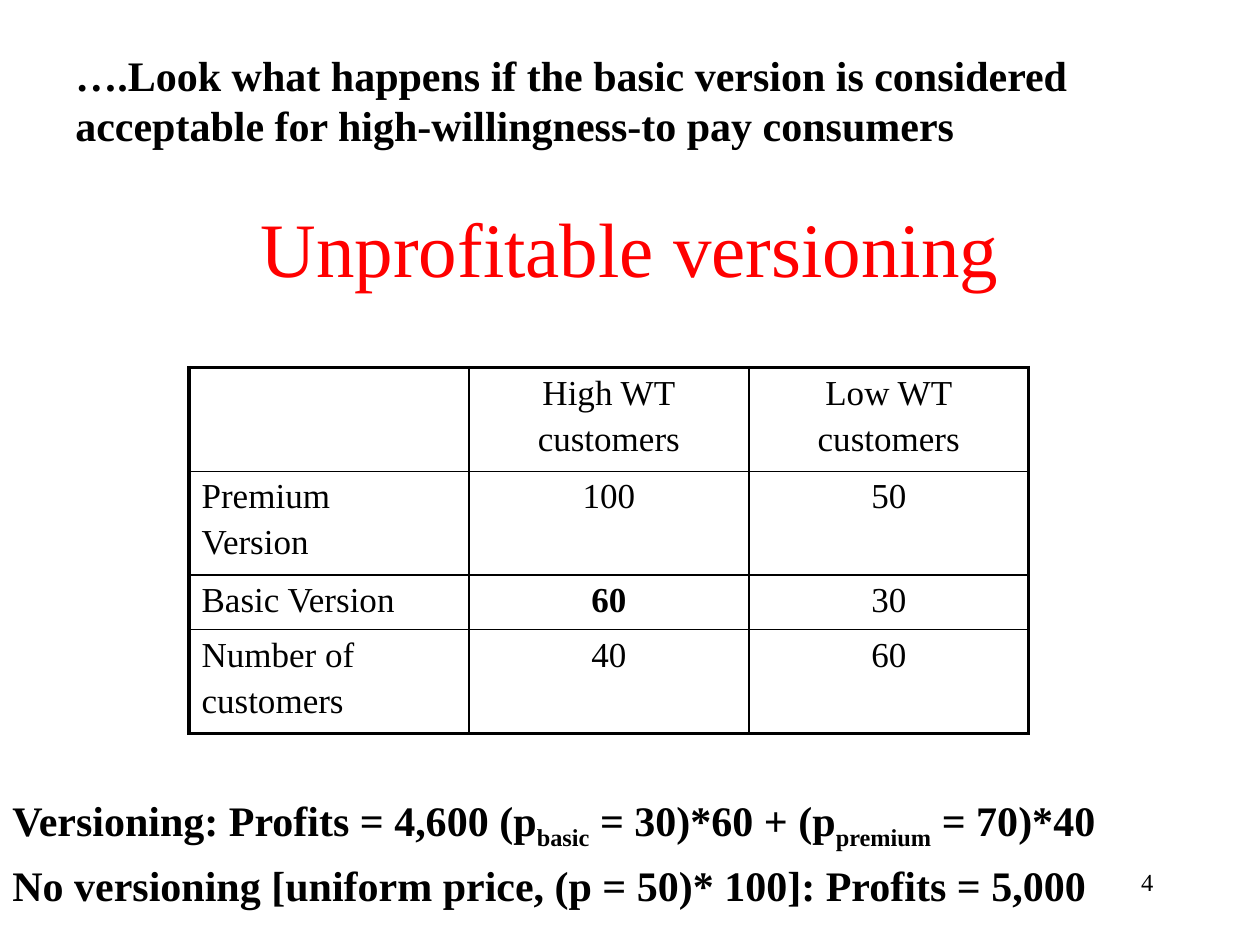
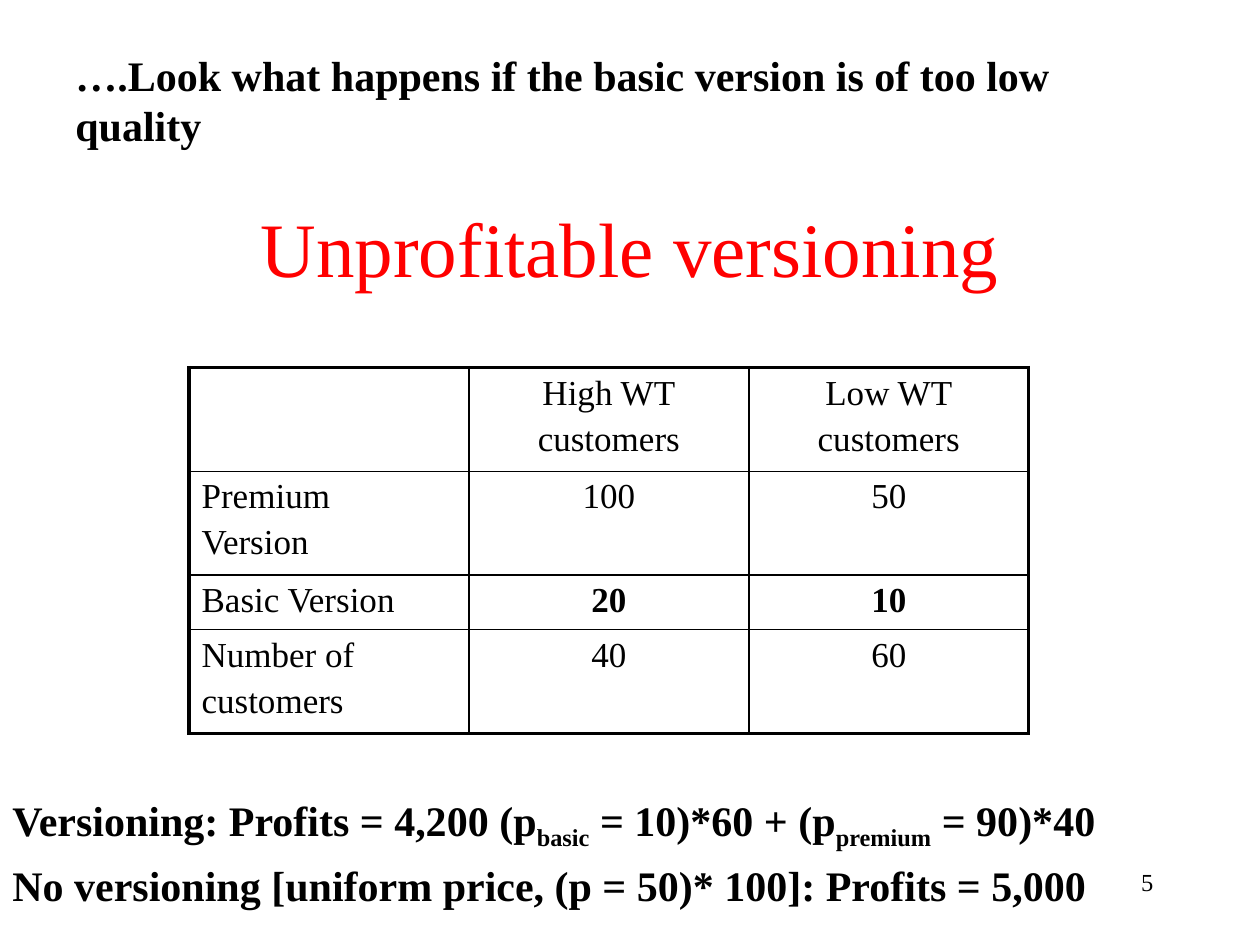
import pptx
import pptx.dml.color
import pptx.enum.text
import pptx.oxml
import pptx.oxml.ns
import pptx.util
from dataclasses import dataclass

Cm, Pt = pptx.util.Cm, pptx.util.Pt
ALIGN = pptx.enum.text.PP_ALIGN
ANCHOR = pptx.enum.text.MSO_ANCHOR


@dataclass(frozen=True)
class Theme:
    font: str = "Times New Roman"
    text: str = "000000"
    title: str = "FF0000"
    background: str = "FFFFFF"
    title_size: float = 44
    body_size: float = 24
    table_size: float = 20
    number_size: float = 14
    line_pitch: float = 28.6
    outer_line: float = 2.25
    inner_line: float = 1


THEME = Theme()

# Left, top, width, height in centimetres
HEADING_BOX = (1.27, 0.88, 22.86, 2.31)
TITLE_BOX = (1.9, 3.39, 21.6, 3.18)
TABLE_BOX = (3.81, 7.41, 16.93, 6.92)
FORMULA_BOX = (0, 16.03, 23.92, 2.5)
NUMBER_BOX = (18.2, 17.36, 5.3, 1.27)
ROW_HEIGHTS = (1.96, 1.96, 1.04, 1.96)

HIGH_CUSTOMERS, LOW_CUSTOMERS = 40, 60

SLIDES = [
    dict(
        number=4,
        heading="….Look what happens if the basic version is considered "
                "acceptable for high-willingness-to pay consumers",
        basic_values=("60", "30"),
        changed=("60",),
        basic_price=30,
        premium_price=70,
    ),
    dict(
        number=5,
        heading="….Look what happens if the basic version is of too low quality",
        basic_values=("20", "10"),
        changed=("20", "10"),
        basic_price=10,
        premium_price=90,
    ),
]


def add_run(p, text, size, color=THEME.text, bold=False, subscript=False):
    r = p.add_run()
    r.text = text
    formats = dict(name=THEME.font, size=Pt(size), bold=bold)
    for name, value in formats.items():
        setattr(r.font, name, value)
    r.font.color.rgb = pptx.dml.color.RGBColor.from_string(color)
    if subscript:
        r._r.get_or_add_rPr().set("baseline", "-25000")


def add_text_frame(slide, box, anchor=ANCHOR.TOP):
    tf = slide.shapes.add_textbox(*map(Cm, box)).text_frame
    tf.word_wrap = True
    tf.vertical_anchor = anchor
    return tf


def add_line(slide, box, text, size, align, color=THEME.text, anchor=ANCHOR.TOP):
    p = add_text_frame(slide, box, anchor).paragraphs[0]
    p.alignment = align
    add_run(p, text, size, color)


def add_heading(slide, box, text):
    p = add_text_frame(slide, box).paragraphs[0]
    p.line_spacing = Pt(THEME.line_pitch)
    add_run(p, text, THEME.body_size, bold=True)


def add_formulas(slide, box, basic_price, premium_price):
    """Show the profit with versioning above the profit at a uniform price."""
    profit = basic_price * LOW_CUSTOMERS + premium_price * HIGH_CUSTOMERS
    tf = add_text_frame(slide, box)
    versioning, uniform = tf.paragraphs[0], tf.add_paragraph()
    uniform.space_before = Pt(4.6)
    pieces = [
        (versioning, f"Versioning: Profits = {profit:,} (p", False),
        (versioning, "basic", True),
        (versioning, f" = {basic_price})*{LOW_CUSTOMERS} + (p", False),
        (versioning, "premium", True),
        (versioning, f" = {premium_price})*{HIGH_CUSTOMERS}", False),
        (uniform, "No versioning [uniform price, (p = 50)* 100]: Profits = 5,000", False),
    ]
    for p, text, subscript in pieces:
        add_run(p, text, THEME.body_size, bold=True, subscript=subscript)
    for p in tf.paragraphs:
        p.line_spacing = Pt(THEME.line_pitch)


def set_borders(cell, outer_sides):
    """Draw all four cell borders, heavier on the table's outer sides."""
    tcPr = cell._tc.get_or_add_tcPr()
    for side in "LRTB":
        width = THEME.outer_line if side in outer_sides else THEME.inner_line
        tcPr.append(pptx.oxml.parse_xml(
            f'<a:ln{side} {pptx.oxml.ns.nsdecls("a")} w="{Pt(width)}">'
            f'<a:solidFill><a:srgbClr val="{THEME.text}"/></a:solidFill>'
            f'</a:ln{side}>'))


def fill_cell(cell, text, align, bold):
    tf = cell.text_frame
    for i, line in enumerate(text.split("\n") if text else []):
        p = tf.add_paragraph() if i else tf.paragraphs[0]
        p.alignment = align
        if i:
            p.space_before = Pt(THEME.table_size * 0.2)
        add_run(p, line, THEME.table_size, bold=bold)


def add_value_table(slide, box, basic_values, changed):
    """List what each customer group pays; changed basic values are bold."""
    rows = [
        ("", "High WT\ncustomers", "Low WT\ncustomers"),
        ("Premium\nVersion", "100", "50"),
        ("Basic Version", *basic_values),
        ("Number of\ncustomers", str(HIGH_CUSTOMERS), str(LOW_CUSTOMERS)),
    ]
    basic_row, last_row, last_col = 2, len(rows) - 1, len(rows[0]) - 1
    table = slide.shapes.add_table(len(rows), len(rows[0]), *map(Cm, box)).table
    table.first_row = table.horz_banding = False
    for column in table.columns:
        column.width = Cm(box[2] / len(rows[0]))
    for row, height in zip(table.rows, ROW_HEIGHTS):
        row.height = Cm(height)
    for i, texts in enumerate(rows):
        for j, text in enumerate(texts):
            cell = table.cell(i, j)
            edges = {"L": j == 0, "R": j == last_col, "T": i == 0, "B": i == last_row}
            set_borders(cell, [side for side, outer in edges.items() if outer])
            cell.fill.background()
            fill_cell(cell, text, ALIGN.CENTER if j else ALIGN.LEFT,
                      bold=i == basic_row and text in changed)


def add_versioning_slide(prs, number, heading, basic_values, changed,
                         basic_price, premium_price):
    slide = prs.slides.add_slide(prs.slide_layouts[6])
    fill = slide.background.fill
    fill.solid()
    fill.fore_color.rgb = pptx.dml.color.RGBColor.from_string(THEME.background)
    add_line(slide, TITLE_BOX, "Unprofitable versioning", THEME.title_size,
             ALIGN.CENTER, THEME.title, ANCHOR.MIDDLE)
    add_line(slide, NUMBER_BOX, str(number), THEME.number_size, ALIGN.RIGHT)
    add_value_table(slide, TABLE_BOX, basic_values, changed)
    add_formulas(slide, FORMULA_BOX, basic_price, premium_price)
    add_heading(slide, HEADING_BOX, heading)


def main():
    prs = pptx.Presentation()
    prs.slide_width, prs.slide_height = Cm(25.4), Cm(19.05)
    for content in SLIDES:
        add_versioning_slide(prs, **content)
    prs.save("out.pptx")


if __name__ == "__main__":
    main()
